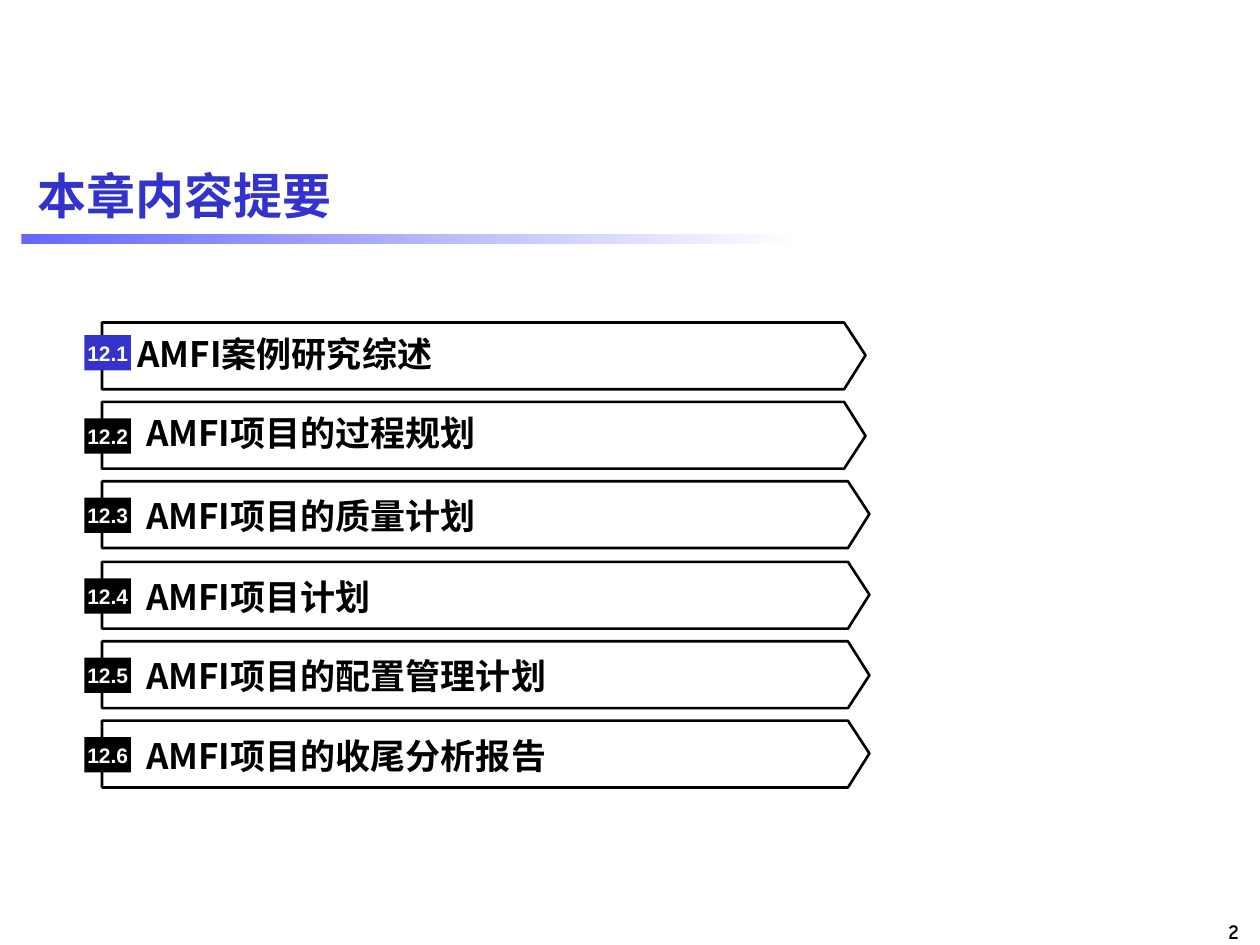
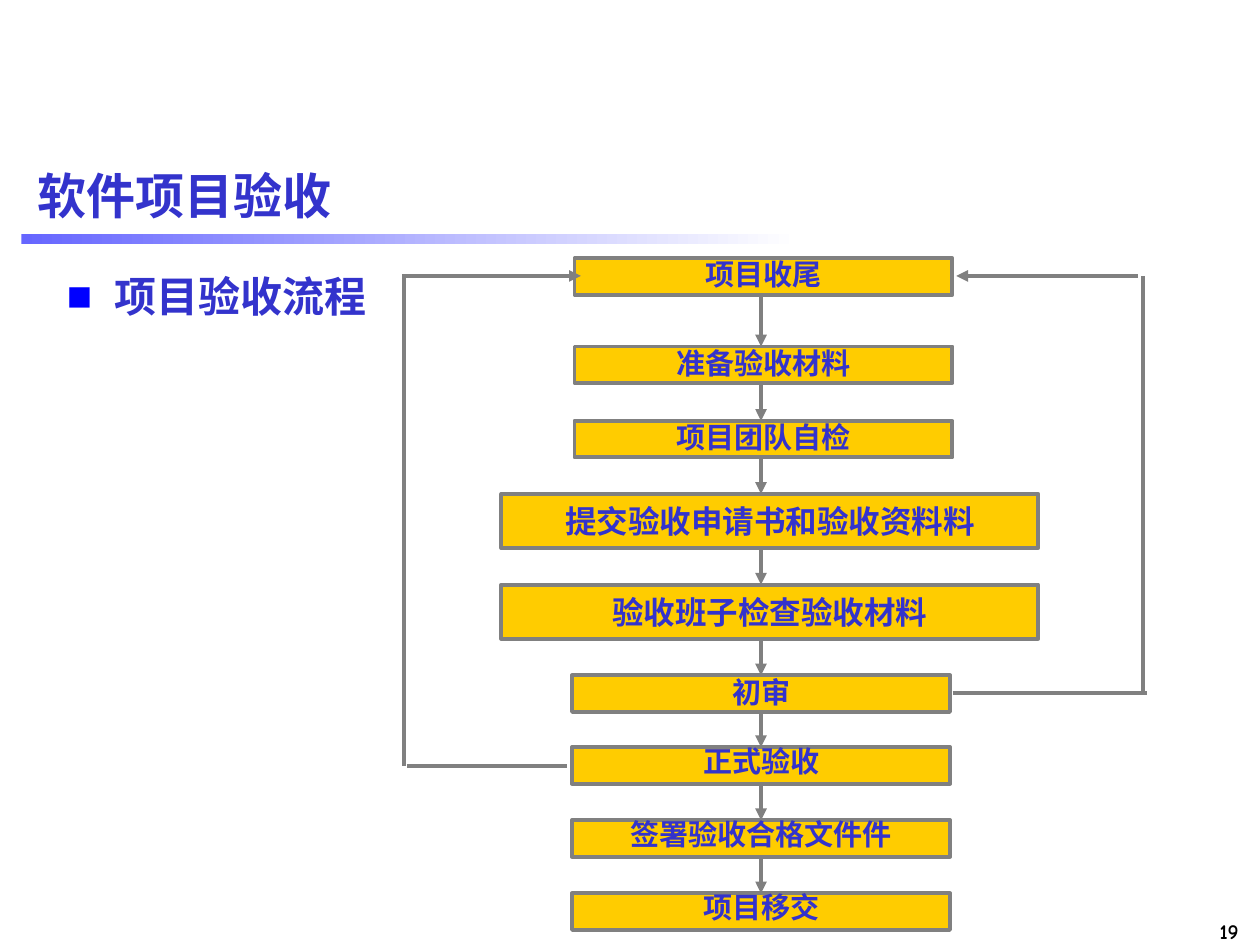
"""Builds the chapter outline slide and the project acceptance flow slide."""
from lxml.etree import SubElement
from pptx import Presentation
from pptx.dml.color import RGBColor
from pptx.enum.shapes import MSO_CONNECTOR, MSO_SHAPE
from pptx.enum.text import MSO_ANCHOR, MSO_AUTO_SIZE, PP_ALIGN
from pptx.oxml.ns import qn
from pptx.util import Pt

PX = 9144
BLUE = RGBColor(0x33, 0x33, 0xCC)
BULLET_BLUE = RGBColor(0x00, 0x00, 0xFF)
BAND_BLUE = RGBColor(0x66, 0x66, 0xFF)
GOLD = RGBColor(0xFF, 0xCC, 0x00)
GREY = RGBColor(0x80, 0x80, 0x80)
BLACK = RGBColor(0x00, 0x00, 0x00)
WHITE = RGBColor(0xFF, 0xFF, 0xFF)
HEADING_FONT = "Arial"
CHINESE_FONT = "Noto Sans CJK SC"
FLOW_FONT = "Times New Roman"
NUMBER_FONT = "Comic Neue"
TITLE_LAYOUT, BODY_LAYOUT = 5, 1
TOP, BOTTOM = 0, 2

TOPICS = [
    ("12.1", "AMFI案例研究综述"),
    ("12.2", "AMFI项目的过程规划"),
    ("12.3", "AMFI项目的质量计划"),
    ("12.4", "AMFI项目计划"),
    ("12.5", "AMFI项目的配置管理计划"),
    ("12.6", "AMFI项目的收尾分析报告"),
]
STEPS = [
    ("项目收尾", 456, 205),
    ("准备验收材料", 456, 275),
    ("项目团队自检", 456, 334),
    ("提交验收申请书和验收资料料", 398, 392),
    ("验收班子检查验收材料", 398, 464),
    ("初审", 454, 536),
    ("正式验收", 454, 593),
    ("签署验收合格文件件", 454, 651),
    ("项目移交", 454, 709),
]
LOOP_LINES = [
    (903, 219, 759, 219, True),
    (907, 219, 907, 550, False),
    (756, 550, 910, 550, False),
    (319, 219, 461, 219, True),
    (321, 219, 321, 608, False),
    (323, 608, 450, 608, False),
]


class Deck:
    """Holds the shared style and the current slide."""

    def __init__(self):
        self.prs = Presentation()
        self.prs.slide_width, self.prs.slide_height = 1000 * PX, 750 * PX
        self.slide = None

    def new_slide(self, layout, title, number):
        self.slide = self.prs.slides.add_slide(self.prs.slide_layouts[layout])
        band = self.box(17, 186, 617, 8)
        band.fill.gradient()
        band.fill.gradient_angle = 0
        for stop, color in zip(band.fill.gradient_stops, (BAND_BLUE, WHITE)):
            stop.color.rgb = color
        self.label(number, 901, 724, 92, 30, 12, BLACK, NUMBER_FONT,
                   align=PP_ALIGN.RIGHT, anchor=MSO_ANCHOR.TOP, margins=(10, 5))
        self.place(self.slide.shapes.title, 20, 115, 961, 79)
        self.set_text(self.slide.shapes.title, title, 28, BLUE, HEADING_FONT,
                      margins=(10, 5))

    def place(self, holder, x, y, w, h):
        holder.left, holder.top = x * PX, y * PX
        holder.width, holder.height = w * PX, h * PX

    def set_text(self, holder, text, size, color, font, align=PP_ALIGN.LEFT,
                 anchor=MSO_ANCHOR.MIDDLE, margins=(0, 0), spacing=1.0):
        frame = holder.text_frame
        frame.text = text
        frame.word_wrap = True
        frame.auto_size = MSO_AUTO_SIZE.NONE
        frame.vertical_anchor = anchor
        frame.margin_left = frame.margin_right = margins[0] * PX
        frame.margin_top = frame.margin_bottom = margins[1] * PX
        paragraph = frame.paragraphs[0]
        paragraph.alignment = align
        paragraph.line_spacing = spacing
        paragraph.space_before = Pt(0)
        for run in paragraph.runs:
            run.font.size, run.font.bold, run.font.name = Pt(size), True, font
            run.font.color.rgb = color
            SubElement(run.font._element, qn("a:ea"), typeface=CHINESE_FONT)
        return paragraph

    def label(self, text, x, y, w, h, *style, **layout):
        holder = self.slide.shapes.add_textbox(x * PX, y * PX, w * PX, h * PX)
        self.set_text(holder, text, *style, **layout)

    def bullet(self, text, x, y, w, h):
        body = self.slide.placeholders[1]
        self.place(body, x, y, w, h)
        paragraph = self.set_text(body, text, 24, BLUE, HEADING_FONT,
                                  anchor=MSO_ANCHOR.TOP, margins=(10, 5))
        props = paragraph._p.get_or_add_pPr()
        props.set("marL", str(38 * PX))
        props.set("indent", str(-38 * PX))
        color = SubElement(props, qn("a:buClr"))
        SubElement(color, qn("a:srgbClr"), val=str(BULLET_BLUE))
        SubElement(props, qn("a:buFont"), typeface=HEADING_FONT)
        SubElement(props, qn("a:buChar"), char="■")

    def box(self, x, y, w, h, fill=None, line=None):
        shape = self.slide.shapes.add_shape(
            MSO_SHAPE.RECTANGLE, x * PX, y * PX, w * PX, h * PX)
        return self.paint(shape, fill, line, 2.25)

    def banner(self, x, y, w, h, tip):
        outline = self.slide.shapes.build_freeform(x, y, scale=PX)
        outline.add_line_segments([(x + w - tip, y), (x + w, y + h / 2),
                                   (x + w - tip, y + h), (x, y + h)])
        self.paint(outline.convert_to_shape(), None, BLACK, 1.5)

    def paint(self, shape, fill, line, width):
        shape.shadow.inherit = False
        if fill is None:
            shape.fill.background()
        else:
            shape.fill.solid()
            shape.fill.fore_color.rgb = fill
        if line is None:
            shape.line.fill.background()
        else:
            shape.line.color.rgb = line
            shape.line.width = Pt(width)
        return shape

    def line(self, x1, y1, x2, y2, arrow):
        link = self.slide.shapes.add_connector(
            MSO_CONNECTOR.STRAIGHT, x1 * PX, y1 * PX, x2 * PX, y2 * PX)
        link.line.color.rgb = GREY
        link.line.width = Pt(2.25)
        if arrow:
            SubElement(link.line._get_or_add_ln(), qn("a:tailEnd"), type="triangle")
        SubElement(link._element.spPr, qn("a:effectLst"))
        return link


def build_outline(deck):
    deck.new_slide(TITLE_LAYOUT, "本章内容提要", "2")
    for i, (number, topic) in enumerate(TOPICS):
        current = i == 0
        y = round(256 + 63.2 * i)
        deck.banner(81, y, 606 if i < 2 else 609, 53, 17)
        deck.label(topic, 109 if current else 116, y + (8 if i < 2 else 11),
                   538, 33, 20, BLACK, CHINESE_FONT)
        badge = deck.box(67, y + (10 if current else 13), 37, 28,
                         BLUE if current else BLACK)
        deck.set_text(badge, number, 12, WHITE, HEADING_FONT, PP_ALIGN.CENTER)


def build_flow(deck):
    deck.new_slide(BODY_LAYOUT, "软件项目验收", "19")
    deck.bullet("项目验收流程", 43, 210, 937, 540)
    spine = 604
    boxes = []
    for i, (step, x, y) in enumerate(STEPS):
        wide = x == 398
        step_box = deck.box(x, y, 426 if wide else 300, 43 if wide else 29, GOLD, GREY)
        deck.set_text(step_box, step, 18 if wide else 16.6, BLUE, FLOW_FONT,
                      PP_ALIGN.CENTER,
                      MSO_ANCHOR.TOP if i > 5 else MSO_ANCHOR.MIDDLE,
                      (10, 5 if wide else 0), 1.0 if wide else 0.9)
        boxes.append(step_box)
    for upper, lower in zip(boxes, boxes[1:]):
        bottom = upper.top + upper.height
        arrow = deck.line(spine, bottom // PX, spine, lower.top // PX, True)
        if upper.left + upper.width // 2 == spine * PX:
            arrow.begin_connect(upper, BOTTOM)
        if lower.left + lower.width // 2 == spine * PX:
            arrow.end_connect(lower, TOP)
    for loop_line in LOOP_LINES:
        deck.line(*loop_line)


def main():
    deck = Deck()
    build_outline(deck)
    build_flow(deck)
    deck.prs.save("out.pptx")


if __name__ == "__main__":
    main()
